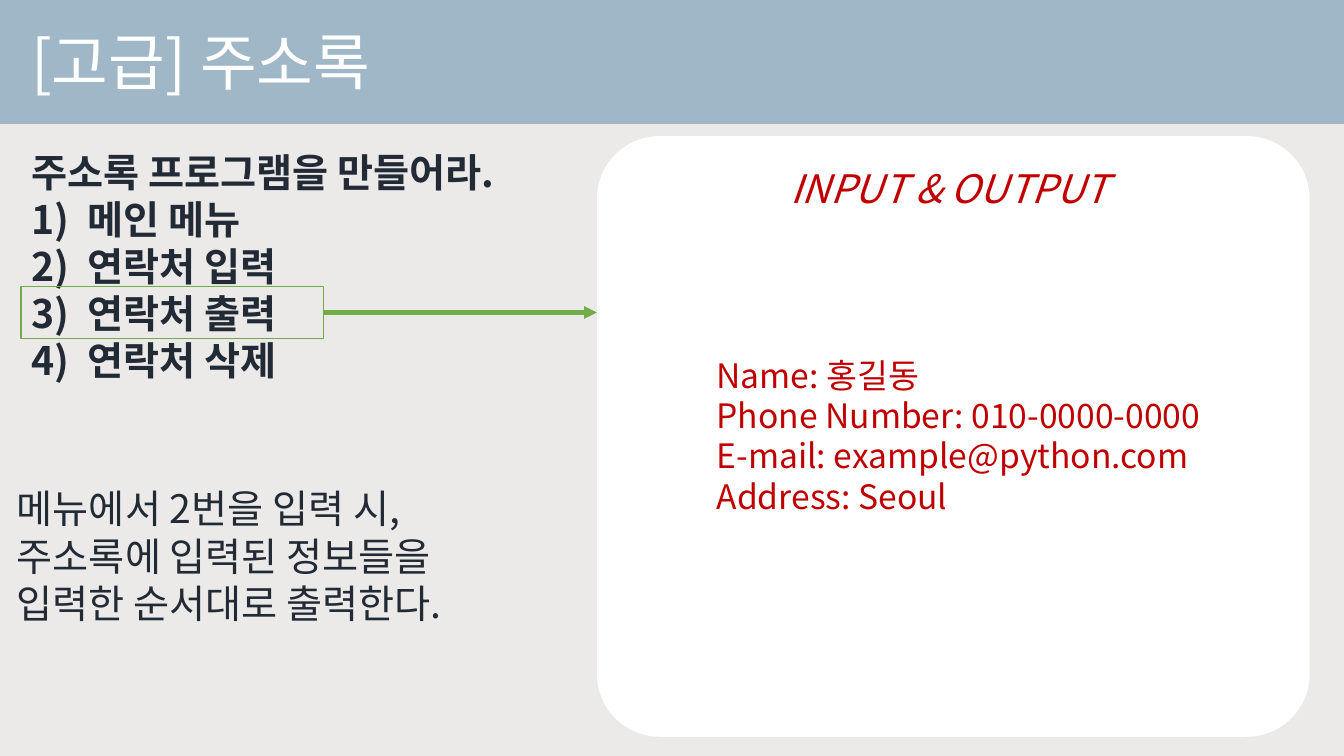
import pptx
import pptx.dml.color
import pptx.enum.shapes
import pptx.enum.text
import pptx.oxml.ns
import pptx.util
from lxml import etree

PX = 9144  # EMU per px, 100 px to the inch
FONT = "Noto Sans CJK KR"
BACKGROUND, BANNER, WHITE = "EBEAE8", "A0B7C7", "FFFFFF"
NAVY, RED, GREEN = "222A35", "C00000", "70AD47"
SHAPE = pptx.enum.shapes.MSO_SHAPE


def px(*lengths):
    return [pptx.util.Emu(length * PX) for length in lengths]


def color(hex_text):
    return pptx.dml.color.RGBColor.from_string(hex_text)


def add_child(parent, tag, **attributes):
    return etree.SubElement(parent, pptx.oxml.ns.qn(tag), attributes)


def paint_line(line, hex_text, points):
    line.color.rgb = color(hex_text)
    line.width = pptx.util.Pt(points)


def add_box(slide, kind, box, fill=None, line=None):
    shape = slide.shapes.add_shape(kind, *px(*box))
    shape.shadow.inherit = False
    if fill:
        shape.fill.solid()
        shape.fill.fore_color.rgb = color(fill)
    else:
        shape.fill.background()
    if line:
        paint_line(shape.line, line, 1)
    else:
        shape.line.fill.background()
    return shape


def number_paragraph(paragraph, indent):
    properties = paragraph._p.get_or_add_pPr()
    properties.set("marL", str(indent * PX))
    properties.set("indent", str(-indent * PX))
    add_child(properties, "a:buFont", typeface=FONT)
    add_child(properties, "a:buAutoNum", type="arabicParenR")


def add_text(slide, box, lines, size, hex_text, wrap=False, numbered_from=None, **style):
    frame = slide.shapes.add_textbox(*px(*box)).text_frame
    frame.word_wrap = wrap
    frame.auto_size = pptx.enum.text.MSO_AUTO_SIZE.SHAPE_TO_FIT_TEXT
    font_values = {"name": FONT, "size": pptx.util.Pt(size), **style}
    for index, text in enumerate(lines):
        paragraph = frame.paragraphs[0] if index == 0 else frame.add_paragraph()
        if numbered_from is not None and index >= numbered_from:
            number_paragraph(paragraph, 56)
        run = paragraph.add_run()
        run.text = text
        for name, value in font_values.items():
            setattr(run.font, name, value)
        run.font.color.rgb = color(hex_text)
        add_child(run._r.get_or_add_rPr(), "a:ea", typeface=FONT)


def add_arrow(slide, source, start, end):
    arrow = slide.shapes.add_connector(
        pptx.enum.shapes.MSO_CONNECTOR.STRAIGHT, *px(*start, *end))
    arrow.begin_connect(source, 3)
    paint_line(arrow.line, GREEN, 3)
    add_child(arrow.line._get_or_add_ln(), "a:tailEnd", type="triangle")
    add_child(arrow._element.spPr, "a:effectLst")


def main():
    presentation = pptx.Presentation()
    presentation.slide_width, presentation.slide_height = px(1333, 750)
    slide = presentation.slides.add_slide(presentation.slide_layouts[6])
    slide.background.fill.solid()
    slide.background.fill.fore_color.rgb = color(BACKGROUND)

    # Title banner
    add_box(slide, SHAPE.RECTANGLE, (0, 0, 1333, 123), fill=BANNER)
    add_text(slide, (21, 19, 774, 84), ["[고급] 주소록"], 44, WHITE, wrap=True)

    # Task list
    tasks = ["주소록 프로그램을 만들어라.", "메인 메뉴", "연락처 입력", "연락처 출력", "연락처 삭제"]
    add_text(slide, (21, 142, 529, 246), tasks, 28, NAVY, numbered_from=1, bold=True)

    # Highlighted task and its arrow to the panel
    highlight = add_box(slide, SHAPE.RECTANGLE, (21, 284, 300, 52), line=GREEN)
    add_arrow(slide, highlight, (321, 310), (592, 310))

    # Input and output panel
    panel = add_box(slide, SHAPE.ROUNDED_RECTANGLE, (592, 135, 707, 596), fill=WHITE)
    panel.adjustments[0] = 0.105
    add_text(slide, (774, 158, 341, 57), ["INPUT & OUTPUT"], 28, RED, italic=True)
    contact = ["Name: 홍길동", "Phone Number: 010-0000-0000",
               "E-mail: example@python.com", "Address: Seoul"]
    add_text(slide, (701, 347, 506, 172), contact, 24, RED)

    # Explanation
    explanation = ["메뉴에서 2번을 입력 시,", "주소록에 입력된 정보들을", "입력한 순서대로 출력한다."]
    add_text(slide, (7, 476, 575, 151), explanation, 28, NAVY, wrap=True)

    presentation.save("out.pptx")


if __name__ == "__main__":
    main()
